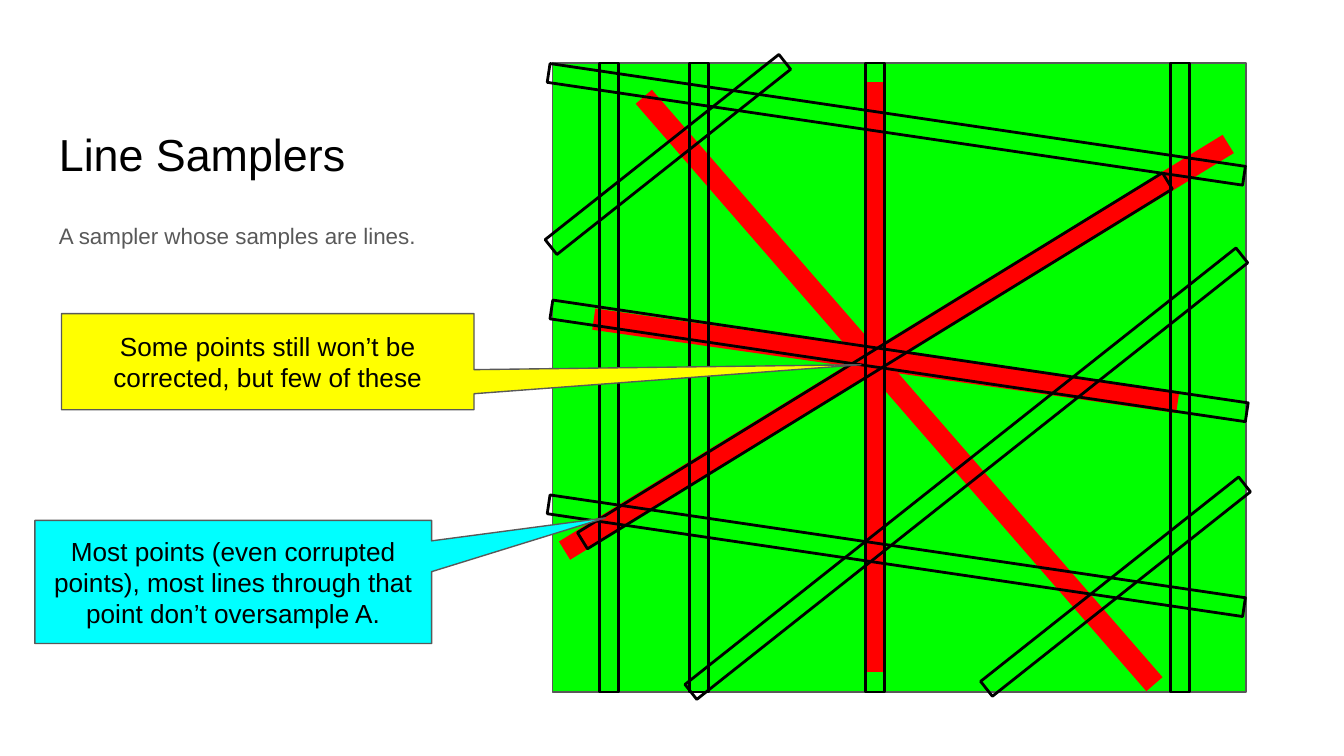
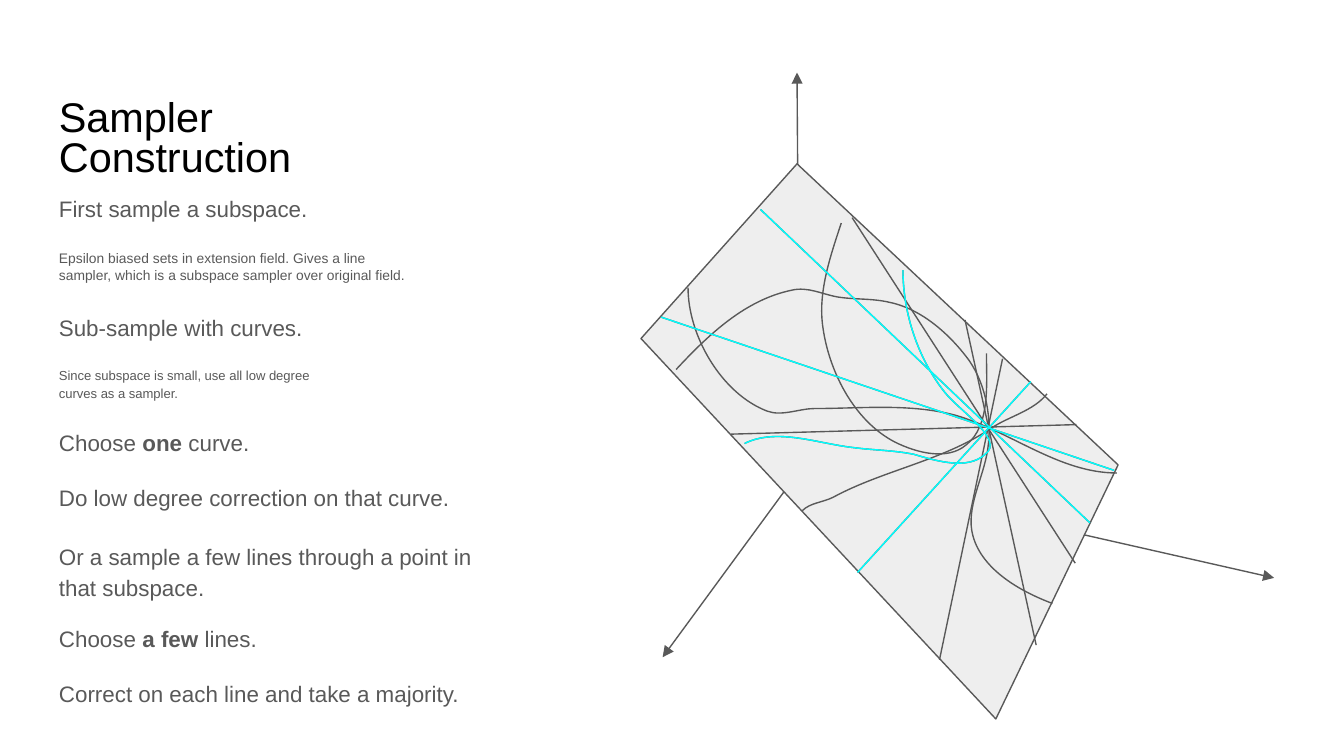
from lxml import etree
from pptx import Presentation
from pptx import util as u
from pptx.dml.color import RGBColor
from pptx.enum import shapes, text
from pptx.oxml import ns

Pt = u.Pt
LEFT, WIDE = 24.5, 221
TEXTS = {"title": 24, "body": 12}
COLORS = {
    "ink": "000000", "gray": "595959", "pale": "EEEEEE", "green": "00FF00",
    "red": "FF0000", "cyan": "00FFFF", "yellow": "FFFF00",
}


class Deck:
    """Holds the style and the current slide."""

    def __init__(self):
        self.prs = Presentation()
        self.prs.slide_width, self.prs.slide_height = Pt(720), Pt(405)

    def start(self, title, size=TEXTS["title"], lead=1.0):
        self.slide = self.prs.slides.add_slide(self.prs.slide_layouts[6])
        self.label(44, WIDE, 60, [title], size, lead, "ink", text.MSO_ANCHOR.BOTTOM)

    def color(self, name):
        return RGBColor.from_string(COLORS[name])

    def paint(self, shape, fill=None, line=None, width=0.75):
        shape.shadow.inherit = False
        if fill:
            shape.fill.solid()
            shape.fill.fore_color.rgb = self.color(fill)
        else:
            shape.fill.background()
        if line:
            shape.line.color.rgb = self.color(line)
            shape.line.width = Pt(width)
        else:
            shape.line.fill.background()

    def letter(self, shape, parts, size, color, lead=1.0, after=0,
               align=text.PP_ALIGN.LEFT, anchor=text.MSO_ANCHOR.TOP):
        """Fill a shape with one paragraph; every second part is bold."""
        frame = shape.text_frame
        frame.word_wrap = True
        frame.vertical_anchor = anchor
        frame.margin_left = frame.margin_right = Pt(7.2)
        frame.margin_top = frame.margin_bottom = Pt(7.2)
        para = frame.paragraphs[0]
        para.alignment, para.line_spacing = align, lead
        para.space_after = Pt(after)
        para.font.name, para.font.size = "Arial", Pt(size)
        para.font.color.rgb = self.color(color)
        for i, part in enumerate(parts):
            run = para.add_run()
            run.text = part
            if i % 2:
                run.font.bold = True

    def label(self, top, width, height, parts, size=TEXTS["body"], lead=1.0,
              color="gray", anchor=text.MSO_ANCHOR.TOP):
        box = self.slide.shapes.add_textbox(Pt(LEFT), Pt(top), Pt(width), Pt(height))
        self.letter(box, parts, size, color, lead, 12, anchor=anchor)

    def shape(self, kind, x, y, w, h):
        return self.slide.shapes.add_shape(kind, Pt(x), Pt(y), Pt(w), Pt(h))

    def rect(self, x, y, w, h, fill=None, line=None, width=0.75, turn=0):
        box = self.shape(shapes.MSO_SHAPE.RECTANGLE, x, y, w, h)
        box.rotation = turn
        self.paint(box, fill, line, width)

    def bar(self, mid, thick, length, turn, **look):
        """Draw a thin bar around its centre."""
        x, y = mid
        self.rect(x - thick / 2, y - length / 2, thick, length, turn=turn, **look)

    def callout(self, place, tip, fill, words):
        box = self.shape(shapes.MSO_SHAPE.RECTANGULAR_CALLOUT, *place)
        for i, value in enumerate(tip):
            box.adjustments[i] = value
        self.paint(box, fill, "gray")
        self.letter(box, [words], 14, "ink", align=text.PP_ALIGN.CENTER,
                    anchor=text.MSO_ANCHOR.MIDDLE)

    def line(self, start, end, color="gray", arrow=False):
        link = self.slide.shapes.add_connector(
            shapes.MSO_CONNECTOR.STRAIGHT, *map(Pt, start + end))
        link.line.color.rgb = self.color(color)
        link.line.width = Pt(0.75)
        if arrow:
            tail = etree.SubElement(link.line._get_or_add_ln(), ns.qn("a:tailEnd"))
            tail.set("type", "triangle")
        etree.SubElement(link._element.spPr, ns.qn("a:effectLst"))

    def outline(self, points, fill=None, color="gray", close=False):
        first, *rest = [(Pt(x), Pt(y)) for x, y in points]
        pen = self.slide.shapes.build_freeform(*first, scale=1.0)
        pen.add_line_segments(rest, close=close)
        form = pen.convert_to_shape()
        self.paint(form, fill, color)
        return form

    def curve(self, points, color="gray"):
        """Draw a chain of cubic curves: a start, then three points for each."""
        form = self.outline(points, color=color)
        steps = list(form._element.iter(ns.qn("a:lnTo")))
        for i in range(0, len(steps), 3):
            bend = etree.Element(ns.qn("a:cubicBezTo"))
            steps[i].addprevious(bend)
            for step in steps[i:i + 3]:
                bend.append(step[0])
                step.getparent().remove(step)


RED_BARS = [  # centre, length, turn
    ((468.7, 202), 316, 0), ((480.2, 186.1), 417, 58.5),
    ((481.7, 209.2), 417, 319), ((474.5, 193.3), 316, 98.1),
]
SAMPLES = [((x, 202.3), 337, 0) for x in (326.2, 374.4, 468.7, 632.2)] + [
    ((597.6, 314.3), 176.4, 51.6), ((517.7, 253.8), 376.6, 51.6),
    ((357.8, 82.8), 159.8, 51.6), ((468.7, 193.3), 367.9, 58.4),
    ((481.7, 193.3), 376.6, 278.4), ((480.2, 297.7), 376.6, 278.4),
    ((480.2, 66.6), 376.6, 278.4),
]

STEPS = [  # top, width, height, parts, size, line spacing
    (97.2, 158.4, 29, ["First sample a subspace."], 12, 1.0),
    (126.7, 201.6, 32, ["Epsilon biased sets in extension field. Gives a line sampler, "
                        "which is a subspace sampler over original field."], 7.4, 1.0),
    (159.1, 236, 31, ["Sub-sample with curves."], 12, 1.15),
    (188.6, 168.5, 34, ["Since subspace is small, use all low degree curves "
                        "as a sampler."], 7, 1.15),
    (222.5, 325, 29, ["Choose ", "one ", "curve."], 12, 1.0),
    (252, 325, 29, ["Do low degree correction on that curve."], 12, 1.0),
    (281.5, 236, 47.5, ["Or a sample a few lines through a point in that subspace."],
     12, 1.15),
    (327.6, 325, 29, ["Choose ", "a few ", "lines."], 12, 1.0),
    (357.1, 325, 29, ["Correct on each line and take a majority."], 12, 1.0),
]
ORIGIN = (428.4, 252)
AXES = [(682.6, 309.6), (427, 38.9), (355, 352.1)]
PLANE = [(427, 87.8), (343.4, 181.4), (533.5, 385.2), (599, 249.1)]
CURVES = [
    [(368.6, 154.1), (368.6, 180), (386.6, 211), (411.1, 220.3),
     (419, 223.2), (428.4, 218.9), (436.3, 218.9),
     (461.5, 218.9), (487.4, 216), (511.9, 222.5),
     (541.4, 231.1), (567.4, 253.4), (598.3, 253.4)],
    [(563.8, 323.3), (546.5, 316.8), (526.3, 305.3), (521.3, 287.3),
     (517, 272.2), (527, 256.3), (529.2, 240.5),
     (531.4, 224.6), (528.5, 206.6), (519.1, 193),
     (509, 179.3), (493.9, 165.6), (476.6, 162),
     (467.3, 159.8), (457.9, 160.6), (448.6, 159.1),
     (440.6, 157.7), (432.7, 153.4), (424.1, 155.5),
     (399.6, 160.6), (380.2, 178.6), (362.2, 198)],
    [(560.9, 211), (553.7, 220.3), (540, 223.2), (530.6, 229.7),
     (504.7, 247), (473, 252), (446.4, 266.4),
     (440.6, 269.3), (434.2, 269.3), (429.8, 273.6)],
    [(528.5, 189.4), (528.5, 205.9), (530.6, 228.2), (517.7, 238.3),
     (507.6, 247), (491, 242.6), (479.5, 236.9),
     (457.2, 225.4), (443.5, 198), (440.6, 173.5),
     (438.5, 155.5), (445, 136.8), (450.7, 119.5)],
]
CHOSEN = [
    (398.9, 237.6), (416.2, 229), (437.8, 237.6), (457.2, 239.8),
    (468, 241.2), (478.8, 241.2), (489.6, 243.4),
    (501.8, 247), (518.4, 252), (527.8, 243.4),
    (538.6, 235.4), (514.1, 220.3), (506.2, 210.2),
    (491.8, 192.2), (483.8, 167.8), (483.8, 144.7),
]
LINES = [
    ((503.3, 353.5), (537.1, 192.2)), ((391.7, 232.6), (576.7, 227.5)),
    ((555.1, 345.6), (517, 171.4)), ((576, 301.7), (456.5, 116.6)),
]
PICKED = [
    ((407.5, 112.3), (583.9, 280.1)), ((354.2, 169.9), (596.9, 252)),
    ((552.2, 204.5), (459.4, 306.7)),
]


def samplers(deck):
    deck.start("Line Samplers")
    deck.label(109.5, WIDE, 37.5, ["A sampler whose samples are lines."], lead=1.15)
    deck.rect(296, 33.8, 371.5, 337, "green", "gray")
    for mid, length, turn in RED_BARS:
        deck.bar(mid, 11.5, length, turn, fill="red")
    for mid, length, turn in SAMPLES:
        deck.bar(mid, 10.2, length, turn, line="ink", width=1.5)
    deck.callout((18.7, 278.8, 212.5, 66), (0.938, -0.52), "cyan",
                 "Most points (even corrupted points), most lines through that "
                 "point don’t oversample A.")
    deck.callout((33, 168, 221, 51.5), (1.438, 0.032), "yellow",
                 "Some points still won’t be corrected, but few of these")


def build(deck):
    deck.start("Sampler Construction", 22.2, 0.8)
    for step in STEPS:
        deck.label(*step)
    for end in AXES:
        deck.line(ORIGIN, end, arrow=True)
    deck.outline(PLANE, "pale", close=True)
    for points in CURVES + [CHOSEN]:
        deck.curve(points)
    for ends in LINES + PICKED:
        deck.line(*ends)
    deck.curve(CHOSEN, "cyan")
    for ends in PICKED:
        deck.line(*ends, color="cyan")


def main():
    deck = Deck()
    samplers(deck)
    build(deck)
    deck.prs.save("out.pptx")


if __name__ == "__main__":
    main()
